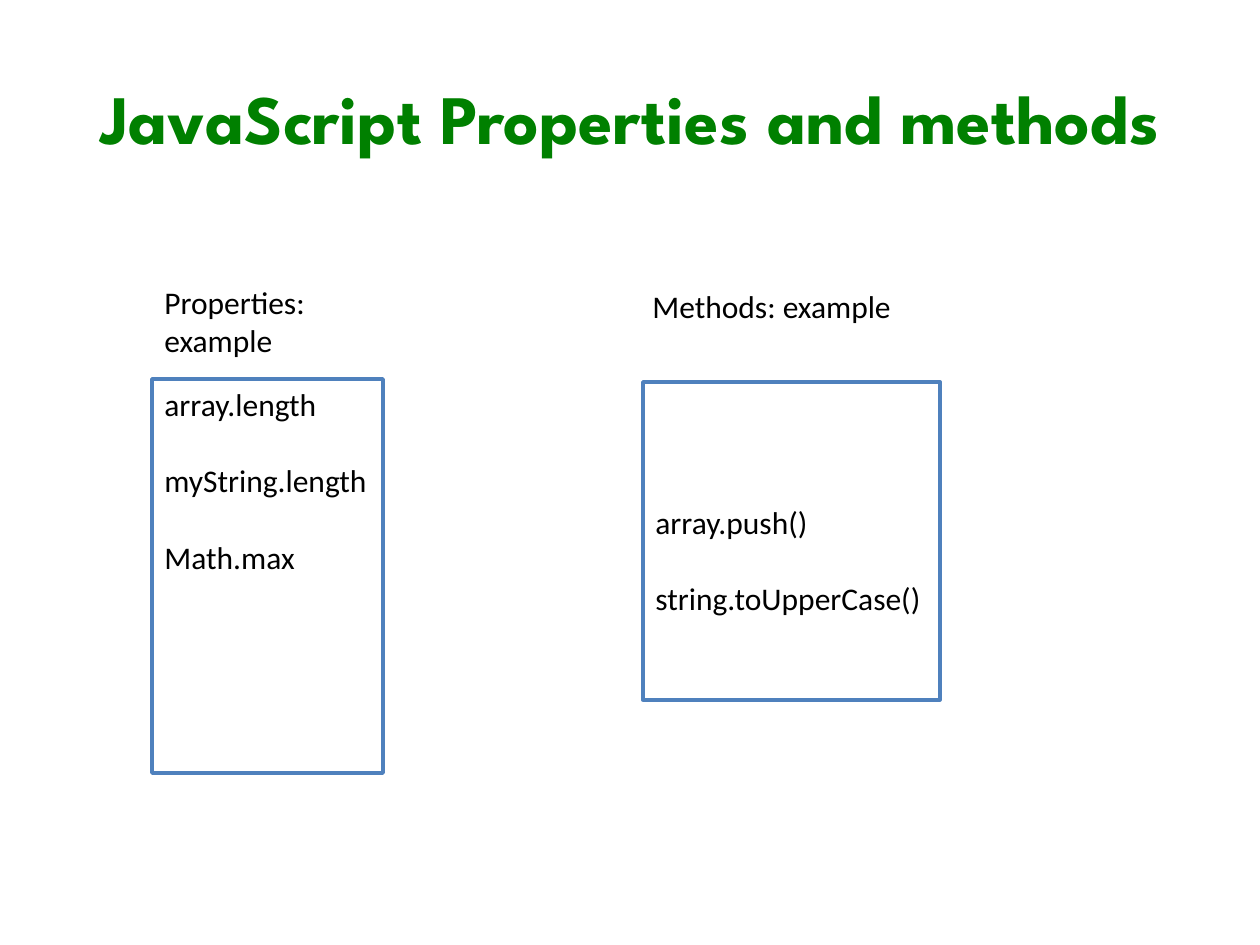
"""Build a slide that sets JavaScript properties beside methods."""
from dataclasses import dataclass

from pptx import Presentation
from pptx.dml.color import RGBColor
from pptx.enum.shapes import MSO_SHAPE
from pptx.enum.text import MSO_ANCHOR, PP_ALIGN
from pptx.util import Emu, Pt

RECT = MSO_SHAPE.RECTANGLE
TOP, MIDDLE = MSO_ANCHOR.TOP, MSO_ANCHOR.MIDDLE
LEFT, CENTER = PP_ALIGN.LEFT, PP_ALIGN.CENTER
SCALE = 914400 / 126
LINE = 22
COLORS = {"title": "008000", "text": "000000", "fill": "FFFFFF", "edge": "4F81BD"}


@dataclass(frozen=True)
class Style:
    font: str
    size: float
    color: str
    bold: bool = False
    align: PP_ALIGN = LEFT
    anchor: MSO_ANCHOR = TOP


@dataclass(frozen=True)
class Block:
    box: tuple[int, int, int, int]
    lines: tuple[str, ...]
    style: Style
    framed: bool = False
    inset: int = 6


HEAD = Style("League Spartan", 39.6, "title", True, CENTER, MIDDLE)
BODY = Style("Calibri", 18, "text")

BLOCKS = (
    Block((63, 38, 1134, 157), ("JavaScript Properties and methods",), HEAD),
    Block((152, 379, 231, 394), ("array.length", "myString.length", "Math.max"), BODY, True),
    Block((643, 382, 297, 318), ("array.push()", "string.toUpperCase()"), BODY, True, 121),
    Block((152, 277, 265, 89), ("Properties: example",), BODY),
    Block((640, 281, 265, 50), ("Methods: example",), BODY),
)


def px(count: int) -> Emu:
    """Turn pixels into EMU."""
    return Emu(round(count * SCALE))


def tint(name: str) -> RGBColor:
    """Look up a named colour."""
    return RGBColor.from_string(COLORS[name])


def frame(shapes, box: list[Emu]):
    """Add a white box with a blue edge."""
    shape = shapes.add_shape(RECT, *box)
    shape.shadow.inherit = False
    shape.fill.solid()
    shape.fill.fore_color.rgb = tint("fill")
    shape.line.color.rgb = tint("edge")
    shape.line.width = Pt(2)
    return shape


def draw(shapes, block: Block) -> None:
    """Draw one block with its lines of text."""
    box = [px(side) for side in block.box]
    shape = frame(shapes, box) if block.framed else shapes.add_textbox(*box)
    style, body = block.style, shape.text_frame
    body.word_wrap = True
    body.vertical_anchor = style.anchor
    body.margin_top = px(block.inset)
    if block.framed:
        body.margin_right = 0
    for index, words in enumerate(block.lines):
        para = body.add_paragraph() if index else body.paragraphs[0]
        para.alignment = style.align
        para.space_before = Pt(LINE if index else 0)
        run = para.add_run()
        run.text = words
        run.font.name = style.font
        run.font.size = Pt(style.size)
        run.font.bold = style.bold
        run.font.color.rgb = tint(style.color)


def main() -> None:
    """Build and save the slide."""
    deck = Presentation()
    deck.slide_width, deck.slide_height = px(1260), px(945)
    slide = deck.slides.add_slide(deck.slide_layouts[6])
    for block in BLOCKS:
        draw(slide.shapes, block)
    deck.save("out.pptx")


main()
